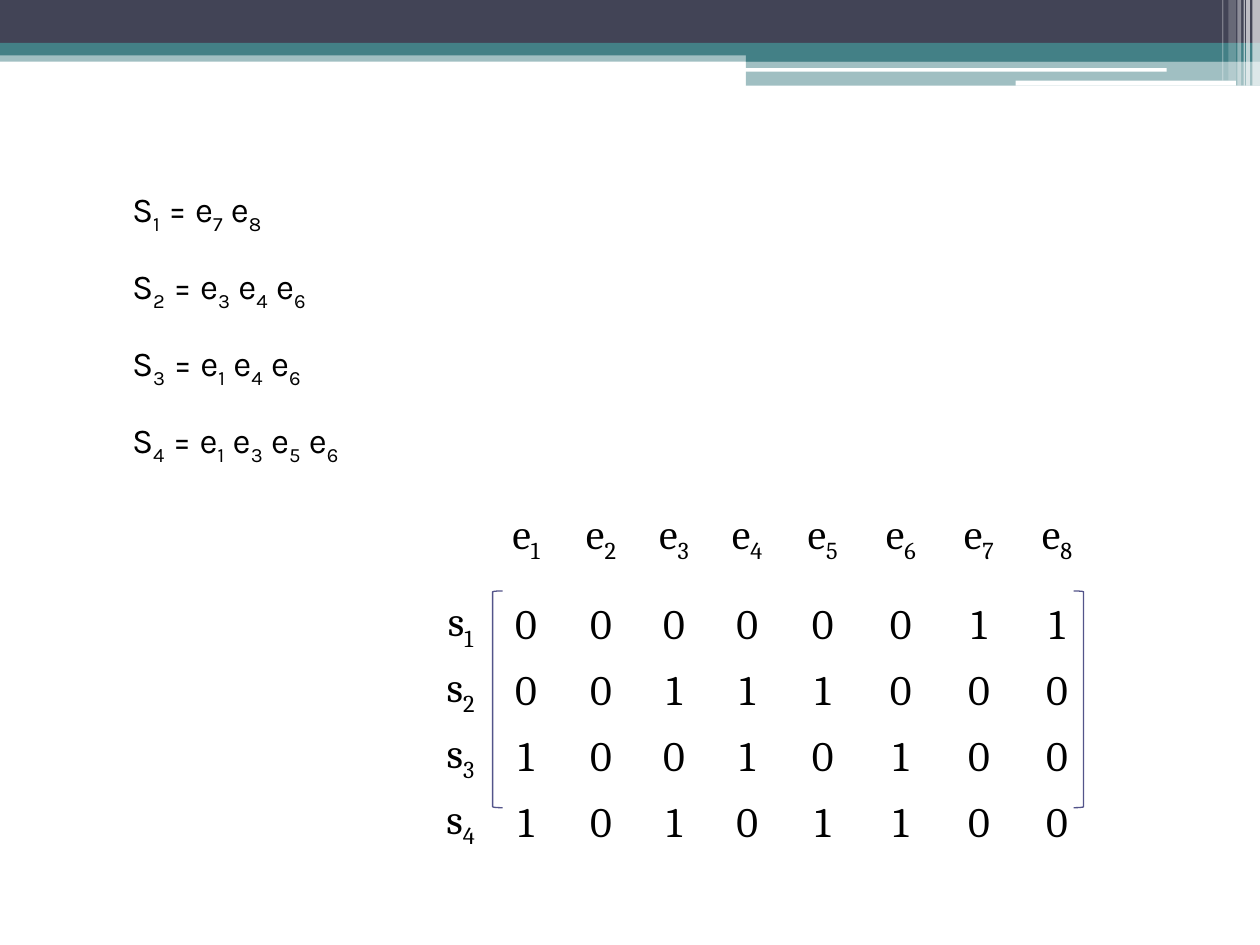
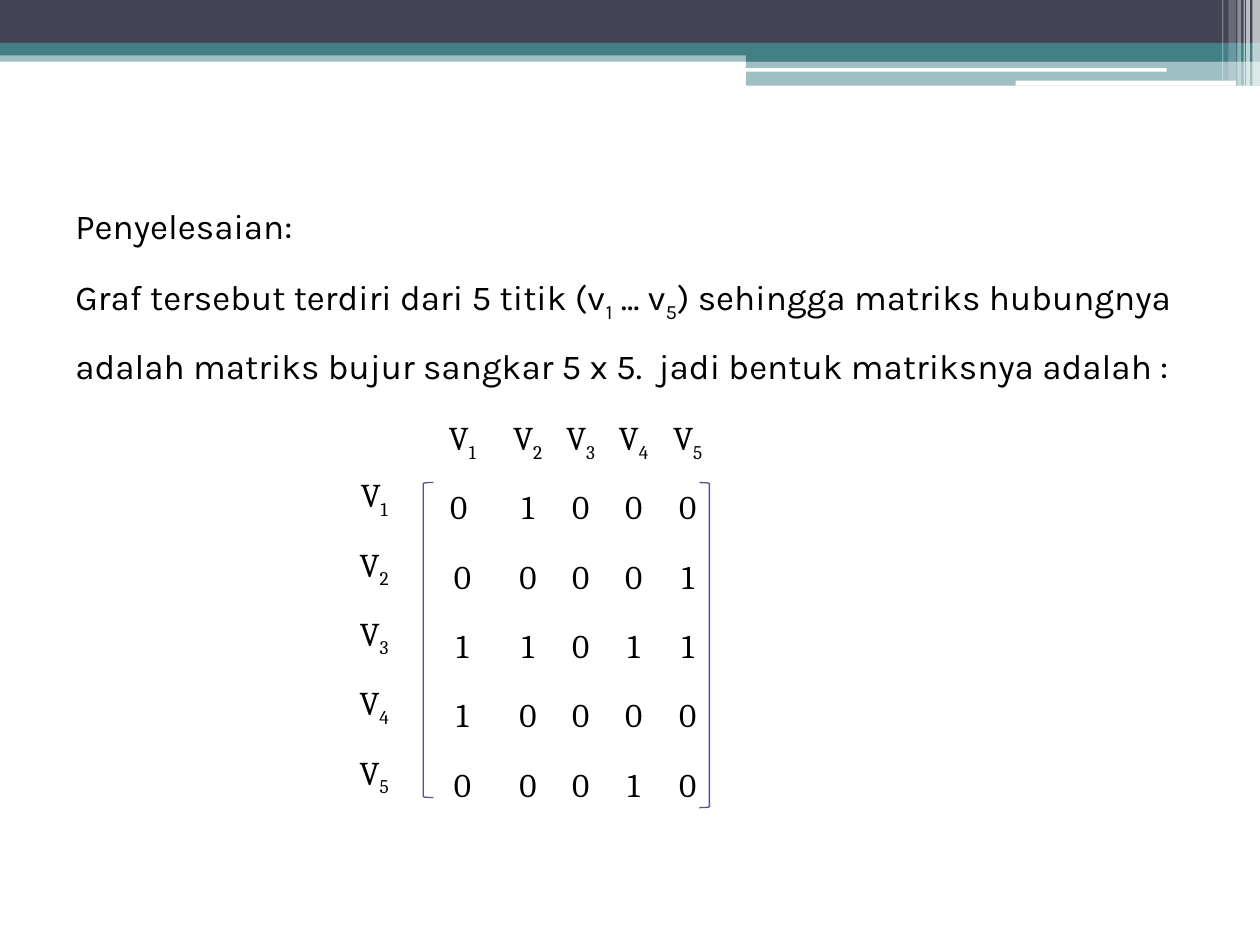
from lxml.etree import SubElement
from pptx import Presentation
from pptx.dml.color import RGBColor
from pptx.enum.shapes import MSO_SHAPE
from pptx.enum.text import MSO_ANCHOR, PP_ALIGN
from pptx.oxml.ns import qn
from pptx.util import Emu, Inches, Pt

WIDTH, HEIGHT = Inches(10), Inches(7.5)
COLS, ROWS = 100, 75
COLORS = {"dark": "424456", "teal": "438086", "white": "FFFFFF",
          "bracket": "53548A", "text": "000000"}
BODY_FONT, MATRIX_FONT = "Karla", "Cambria"

BANDS = [
    (0, 4, 100, 0.9, "teal", 50),
    (0, 0, 100, 3.4, "dark", 100),
    (0, 3.4, 100, 1, "teal", 100),
    (59.2, 3.9, 40.8, 1, "teal", 100),
    (59.2, 4.8, 40.8, 2, "teal", 50),
    (59.1, 5.4, 33.5, 0.3, "white", 100),
    (80.6, 6.4, 17.5, 0.4, "white", 100),
]
STRIPES = [(99.4, 0.6, 6.8, 65), (98.9, 0.3, 6.8, 65), (98.7, 0.1, 6.8, 60),
           (98.2, 0.3, 6.8, 40), (97.5, 0.6, 6.4, 20), (97, 0.1, 6.4, 30)]


def across(cols):
    """Turn grid columns into a length."""
    return Emu(round(WIDTH * cols / COLS))


def down(rows):
    """Turn grid rows into a length."""
    return Emu(round(HEIGHT * rows / ROWS))


def place(box):
    """Turn a box on the grid into lengths."""
    x, y, w, h = box
    return across(x), down(y), across(w), down(h)


def color(name):
    """Look up a named colour."""
    return RGBColor.from_string(COLORS[name])


def add_band(s, box, fill, opacity):
    """Add a borderless rectangle with the given opacity in percent."""
    sp = s.shapes.add_shape(MSO_SHAPE.RECTANGLE, *place(box))
    sp.shadow.inherit = False
    sp.line.fill.background()
    sp.fill.solid()
    sp.fill.fore_color.rgb = color(fill)
    if opacity < 100:
        clr = sp.fill._xPr.find(".//" + qn("a:srgbClr"))
        SubElement(clr, qn("a:alpha"), val=str(opacity * 1000))


def add_header(s):
    """Draw the bands and the light stripes along the top edge."""
    for *box, fill, opacity in BANDS:
        add_band(s, box, fill, opacity)
    for x, w, h, opacity in STRIPES:
        add_band(s, (x, 0, w, h), "white", opacity)


def write(p, text, font, size, spacing):
    """Fill a paragraph, lowering the character that follows each underscore."""
    p.line_spacing = spacing
    p.font.name, p.font.size = font, Pt(size)
    p.font.color.rgb = color("text")
    first, *rest = text.split("_")
    p.add_run().text = first
    for part in rest:
        r = p.add_run()
        r.text = part[0]
        r._r.get_or_add_rPr().set("baseline", "-25000")
        if part[1:]:
            p.add_run().text = part[1:]


def add_body(s, box, lines, indent=0, align=PP_ALIGN.LEFT):
    """Add the running text, one paragraph a line."""
    tf = s.shapes.add_textbox(*place(box)).text_frame
    tf.word_wrap = True
    for i, line in enumerate(lines):
        p = tf.paragraphs[0] if i == 0 else tf.add_paragraph()
        write(p, line, BODY_FONT, 20, 1.5)
        p.alignment = align
        p.space_before = Pt(3 if i else 0)
        p._p.get_or_add_pPr().set("indent", str(across(indent)))


def add_bracket(s, kind, box):
    """Add one thin bracket."""
    sp = s.shapes.add_shape(kind, *place(box))
    sp.shadow.inherit = False
    sp.fill.background()
    sp.line.color.rgb = color("bracket")
    sp.line.width = Pt(0.75)


def add_matrix(s, origin, widths, heights, heads, names, values, size,
               name_anchor, left, right):
    """Add a labelled matrix as a table, with brackets relative to its corner."""
    x, y = origin
    rows = [["", *heads], [""] * len(widths)]
    rows += [[name, *row] for name, row in zip(names, values)]
    box = (x, y, sum(widths), sum(heights))
    table = s.shapes.add_table(len(heights), len(widths), *place(box)).table
    table.first_row = table.horz_banding = False
    for column, width in zip(table.columns, widths):
        column.width = across(width)
    for row, height in zip(table.rows, heights):
        row.height = down(height)
    for i, row in enumerate(rows):
        for j, text in enumerate(row):
            cell = table.cell(i, j)
            cell.fill.background()
            cell.margin_left = cell.margin_right = Inches(0.05)
            cell.margin_top = cell.margin_bottom = 0
            cell.vertical_anchor = MSO_ANCHOR.MIDDLE if j else name_anchor
            p = cell.text_frame.paragraphs[0]
            p.alignment = PP_ALIGN.CENTER
            if text:
                write(p, text, MATRIX_FONT, size, 1.15)
            else:
                SubElement(p._p, qn("a:endParaRPr"), sz="100")
    for kind, (dx, dy, h) in ((MSO_SHAPE.LEFT_BRACKET, left),
                              (MSO_SHAPE.RIGHT_BRACKET, right)):
        add_bracket(s, kind, (x + dx, y + dy, 0.8, h))


def labels(letter, count):
    """Number a letter from one to count."""
    return [f"{letter}_{n}" for n in range(1, count + 1)]


def add_incidence_slide(s):
    """Show the edge sets and their matrix."""
    add_header(s)
    add_body(s, (4.7, 12.5, 43.4, 24.2),
             ["S_1 = e_7 e_8", "S_2 = e_3 e_4 e_6",
              "S_3 = e_1 e_4 e_6", "S_4 = e_1 e_3 e_5 e_6"],
             indent=4.8, align=PP_ALIGN.JUSTIFY)
    add_matrix(s, (34.4, 39.8), [4.3, 6.1] + [5.8] * 3 + [6.2] * 4,
               [3.1, 1.7] + [4.1] * 4, labels("e", 8), labels("s", 4),
               ["00000011", "00111000", "10010100", "10101100"],
               24, MSO_ANCHOR.MIDDLE, (4.7, 7.1, 17.2), (50.8, 7.1, 17.2))


def add_adjacency_slide(s):
    """Show the solution text and the square matrix."""
    add_header(s)
    add_body(s, (5, 14.1, 90, 57.8),
             ["Penyelesaian:",
              "Graf tersebut terdiri dari 5 titik (v_1 ... v_5) sehingga "
              "matriks hubungnya adalah matriks bujur sangkar 5 x 5.  "
              "jadi bentuk matriksnya adalah :"])
    add_matrix(s, (25.8, 32.8), [7.8, 6.2] + [4.2] * 3 + [4.4],
               [3.2, 0.5] + [5.5] * 5, labels("V", 5), labels("V", 5),
               [["0 ", *"1000"], "00001", "11011", "10000", "00010"],
               19, MSO_ANCHOR.TOP, (7.8, 5.5, 25), (29.7, 5.5, 25.8))


def main():
    """Build and save the slides."""
    prs = Presentation()
    prs.slide_width, prs.slide_height = WIDTH, HEIGHT
    for build in (add_incidence_slide, add_adjacency_slide):
        build(prs.slides.add_slide(prs.slide_layouts[6]))
    prs.save("out.pptx")


if __name__ == "__main__":
    main()
